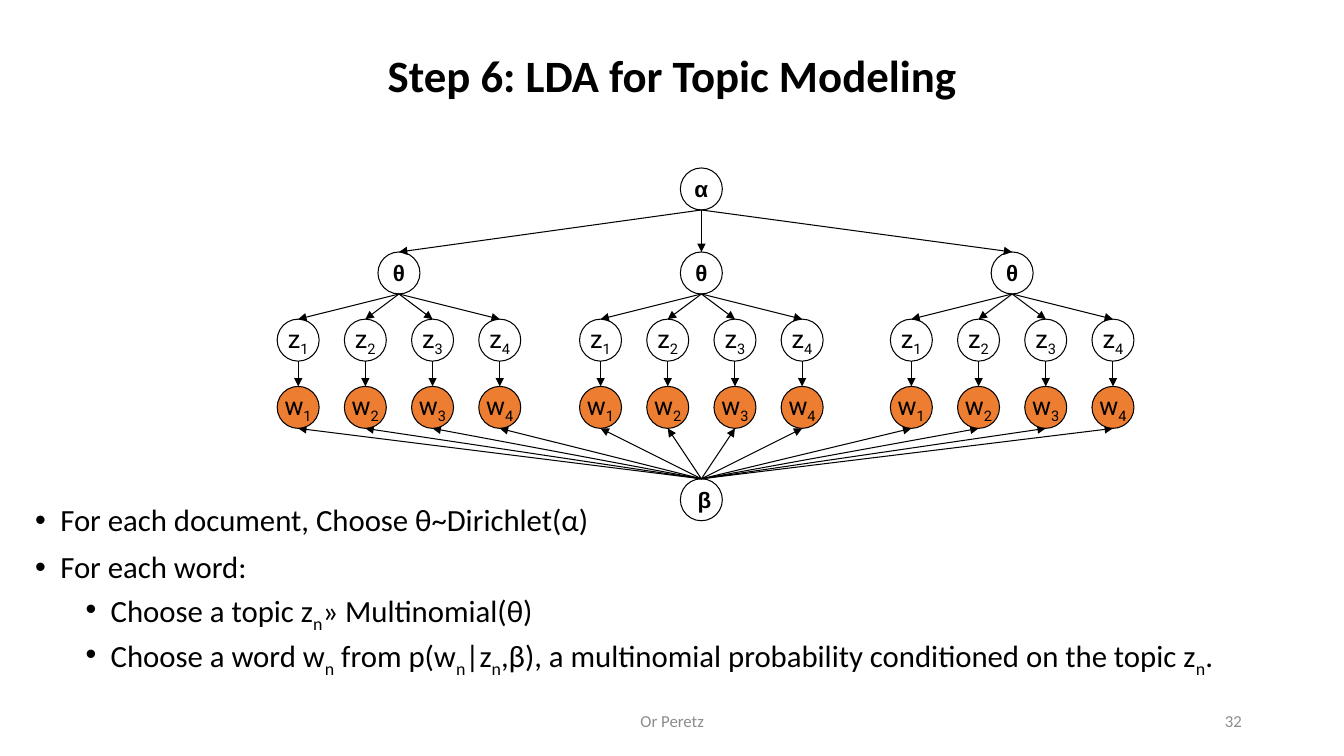
"""Build the slide on the LDA topic model: a graph of nodes above four bullets."""
from lxml import etree
from pptx import Presentation
from pptx import util as u
from pptx.dml.color import RGBColor
from pptx.enum import shapes, text
from pptx.oxml.ns import qn

COLORS = {"ink": "000000", "word": "ED7D31", "footer": "8C8C8C"}
CELL = u.Inches(1 / 12)
COLUMNS, ROWS = 160, 90
NODE = 5
TOPS = {"alpha": 20, "theta": 30, "topic": 38, "word": 46, "beta": 57}
DOCUMENTS = [47.5, 83.5, 120.5]
CENTER = DOCUMENTS[1]
WORD_OFFSETS = [-12, -4, 4, 12]

GREEK = {"name": "Arial", "size": u.Pt(16), "bold": True}
LETTER = {"name": "Roboto", "size": u.Pt(18)}
HEADING = {"name": "Calibri", "size": u.Pt(32), "bold": True}
BULLET = {"name": "Calibri", "size": u.Pt(22)}
FOOTER = {"name": "Calibri", "size": u.Pt(12)}


def write(paragraph, content, style, color="ink"):
    """Add runs to a paragraph; every second part between underscores is a subscript."""
    for index, part in enumerate(content.split("_")):
        run = paragraph.add_run()
        run.text = part
        for key, value in style.items():
            setattr(run.font, key, value)
        run.font.color.rgb = RGBColor.from_string(COLORS[color])
        if index % 2:
            run._r.get_or_add_rPr().set("baseline", "-25000")


def arrow(start_x, start_y, end_x, end_y):
    """Draw a thin arrow between two grid points."""
    ends = [round(CELL * value) for value in (start_x, start_y, end_x, end_y)]
    edge = slide.shapes.add_connector(shapes.MSO_CONNECTOR.STRAIGHT, *ends)
    edge.line.width = u.Pt(0.75)
    edge.line.color.rgb = RGBColor.from_string(COLORS["ink"])
    etree.SubElement(edge.line._get_or_add_ln(), qn("a:tailEnd"), type="triangle")
    etree.SubElement(edge._element.spPr, qn("a:effectLst"))


deck = Presentation()
deck.slide_width, deck.slide_height = CELL * COLUMNS, CELL * ROWS
slide = deck.slides.add_slide(deck.slide_layouts[5])

heading = slide.shapes.title
heading.left, heading.top = u.Inches(0.92), u.Inches(-0.12)
heading.width, heading.height = u.Inches(11.5), u.Inches(1.45)
heading.text_frame.auto_size = text.MSO_AUTO_SIZE.NONE
heading.text_frame.vertical_anchor = text.MSO_ANCHOR.MIDDLE
heading_line = heading.text_frame.paragraphs[0]
heading_line.alignment = text.PP_ALIGN.CENTER
heading_line.line_spacing = 1.5
write(heading_line, "Step 6: LDA for Topic Modeling", HEADING)

nodes = [("alpha", CENTER, "α", GREEK), ("beta", CENTER, " β", GREEK)]
for document in DOCUMENTS:
    nodes.append(("theta", document, "θ", GREEK))
    arrow(CENTER, TOPS["alpha"] + NODE, document, TOPS["theta"])
    for number, offset in enumerate(WORD_OFFSETS, start=1):
        x = document + offset
        nodes.append(("topic", x, f"z_{number}", LETTER))
        nodes.append(("word", x, f"w_{number}", LETTER))
        arrow(document, TOPS["theta"] + NODE, x, TOPS["topic"])
        arrow(x, TOPS["topic"] + NODE, x, TOPS["word"])
        arrow(CENTER, TOPS["beta"], x, TOPS["word"] + NODE)

for level, x, label, style in nodes:
    node = slide.shapes.add_shape(
        shapes.MSO_SHAPE.OVAL, round(CELL * (x - NODE / 2)), CELL * TOPS[level], CELL * NODE, CELL * NODE)
    node.shadow.inherit = False
    node.line.width = u.Pt(0.75)
    node.line.color.rgb = RGBColor.from_string(COLORS["ink"])
    if level == "word":
        node.fill.solid()
        node.fill.fore_color.rgb = RGBColor.from_string(COLORS["word"])
    else:
        node.fill.background()
    node.text_frame.word_wrap = False
    node.text_frame.vertical_anchor = text.MSO_ANCHOR.MIDDLE
    symbol = node.text_frame.paragraphs[0]
    symbol.alignment = text.PP_ALIGN.CENTER
    write(symbol, label, style)

steps = slide.shapes.add_textbox(u.Inches(0.25), u.Inches(4.96), u.Inches(12.02), u.Inches(2.78)).text_frame
steps.word_wrap = True
for index, (level, content) in enumerate([
    (0, "For each document, Choose θ~Dirichlet(α)"),
    (0, "For each word:"),
    (1, "Choose a topic z_n_» Multinomial(θ)"),
    (1, "Choose a word w_n_ from p(w_n_|z_n_,β), a multinomial probability conditioned on the topic z_n_."),
]):
    step = steps.add_paragraph() if index else steps.paragraphs[0]
    properties = step._p.get_or_add_pPr()
    properties.set("marL", str(u.Inches(0.25 + 0.5 * level)))
    properties.set("indent", str(u.Inches(-0.25)))
    etree.SubElement(properties, qn("a:buFont"), typeface="Arial")
    etree.SubElement(properties, qn("a:buChar"), char="•")
    step.level = level
    step.line_spacing = 0.9
    step.space_before = u.Pt((5 if level else 10) if index else 0)
    write(step, content, BULLET)

for left, width, content, alignment in [
    (4.42, 4.5, "Or Peretz", text.PP_ALIGN.CENTER),
    (9.42, 3, "32", text.PP_ALIGN.RIGHT),
]:
    footer = slide.shapes.add_textbox(u.Inches(left), u.Inches(6.95), u.Inches(width), u.Inches(0.4)).text_frame
    footer.word_wrap = True
    footer.vertical_anchor = text.MSO_ANCHOR.MIDDLE
    footer.paragraphs[0].alignment = alignment
    write(footer.paragraphs[0], content, FOOTER, "footer")

deck.save("out.pptx")
